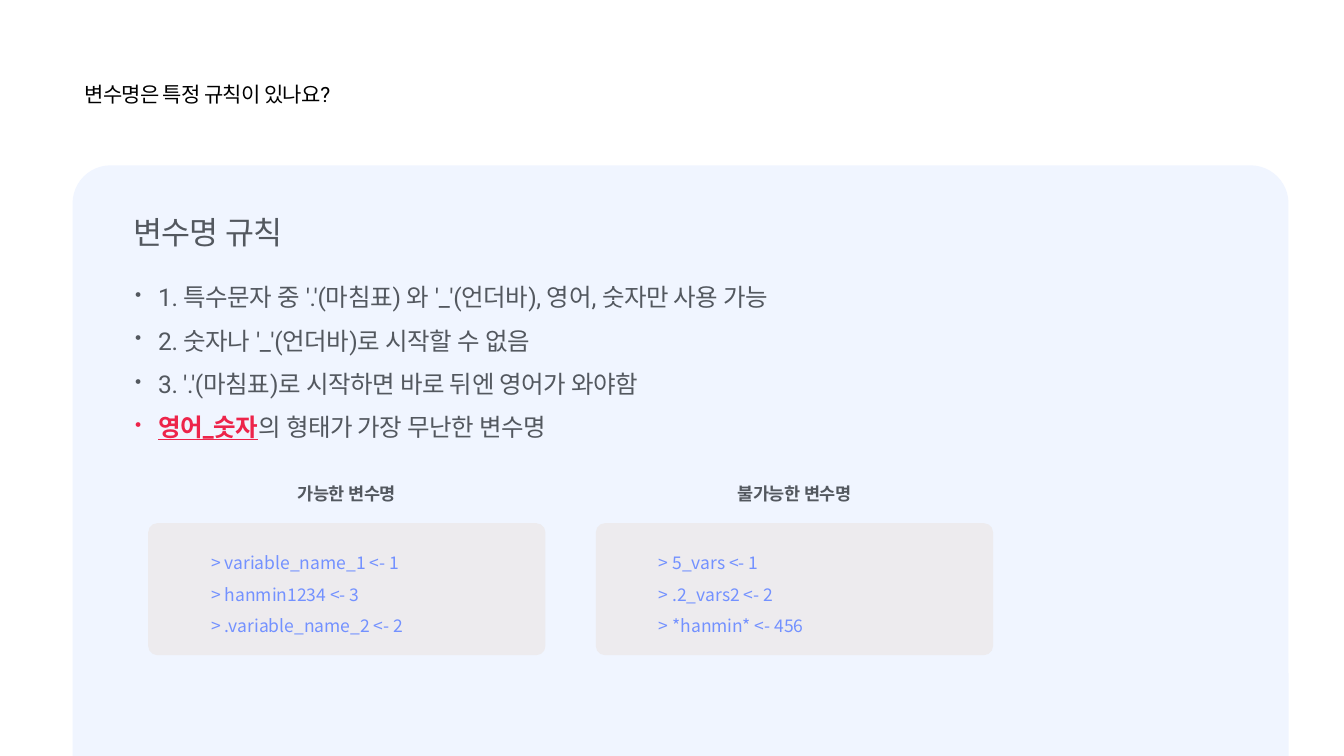
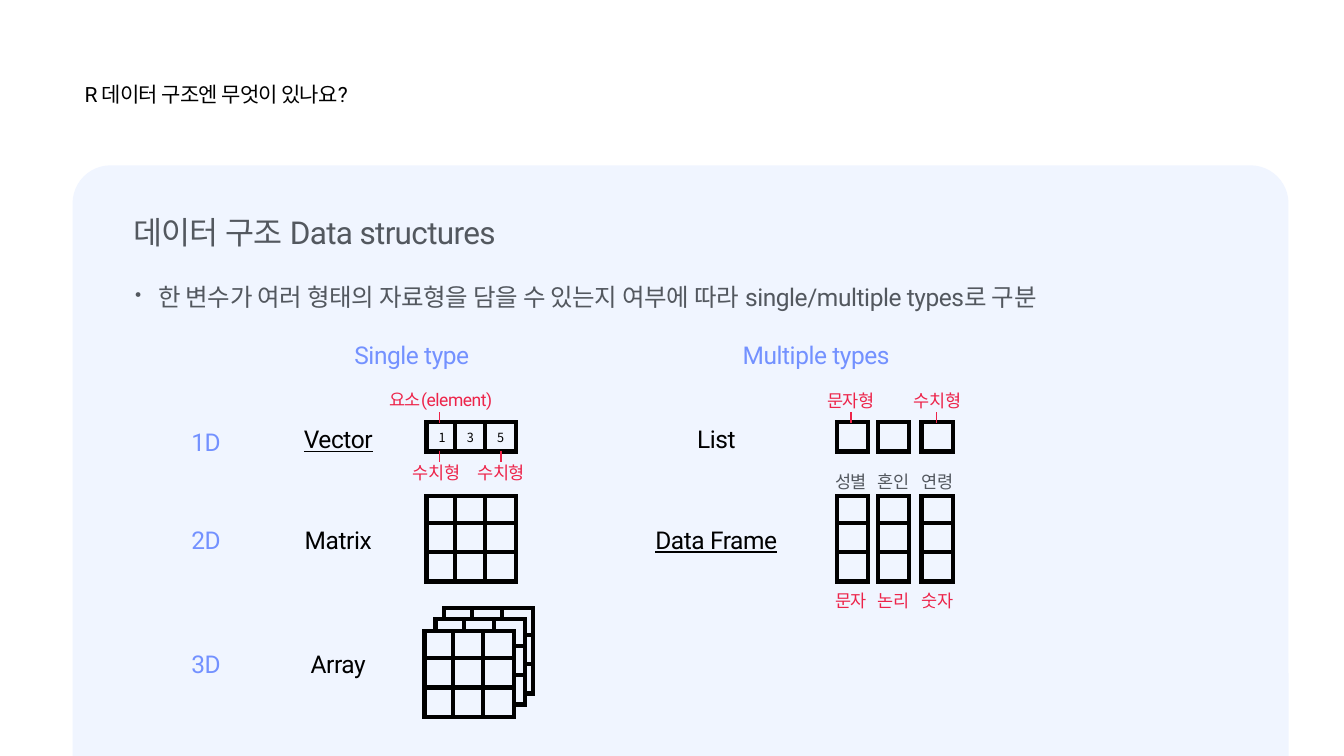
"""Build two lesson slides on R variable names and data structures."""
import dataclasses
import typing

import lxml.etree
import pptx
import pptx.dml.color
import pptx.enum.shapes
import pptx.enum.text
import pptx.oxml.ns
import pptx.util

SCALE = 9144
WHITE, BLACK, PANEL, CODE = "FFFFFF", "000000", "F0F5FF", "EDEBEE"
GRAY, BLUE, RED = "53585F", "7391FF", "ED244A"
SANS, MONO = "Roboto", "Noto Sans CJK KR"
KIND = pptx.enum.shapes.MSO_SHAPE
ALIGN = pptx.enum.text.PP_ALIGN
ANCHOR = pptx.enum.text.MSO_ANCHOR


@dataclasses.dataclass(frozen=True)
class Style:
    size: float
    color: str
    face: str = SANS
    track: int = -30
    bold: bool = False
    line: bool = False
    align: typing.Any = ALIGN.LEFT
    anchor: typing.Any = ANCHOR.TOP
    inset: int = 3
    indent: int = 0
    bullet: bool = False
    after: float = 0
    lead: typing.Optional[float] = None


@dataclasses.dataclass(frozen=True)
class Box:
    x: int
    y: int
    w: int
    h: int


@dataclasses.dataclass(frozen=True)
class Label:
    text: str
    box: Box
    style: Style


@dataclasses.dataclass(frozen=True)
class Grid:
    x: int
    y: int
    cols: tuple[int, ...] = (0, 28, 58)
    rows: tuple[int, ...] = (0, 27, 56)


Part = tuple[str, Style]
TITLE = Style(15, BLACK, track=-60, inset=1)
HEAD = Style(22.5, GRAY, track=-50, inset=1)
BODY = Style(17.5, GRAY, indent=23, bullet=True, after=10)
KEY = dataclasses.replace(BODY, color=RED, bold=True, line=True)
SCRIPT = Style(12.5, BLUE, face=MONO, track=0, anchor=ANCHOR.MIDDLE,
               inset=10, indent=50, lead=22.5)
AXIS = Style(17.5, BLUE, align=ALIGN.CENTER, anchor=ANCHOR.MIDDLE, inset=1)
TERM = dataclasses.replace(AXIS, color=BLACK)
LINK = dataclasses.replace(TERM, line=True)
TAG = Style(12.5, RED, align=ALIGN.CENTER)
FIELD = dataclasses.replace(TAG, color=GRAY)
CAPTION = dataclasses.replace(FIELD, bold=True)
DIGIT = Style(9, BLACK, face=MONO, track=0, align=ALIGN.CENTER,
              anchor=ANCHOR.MIDDLE, inset=0)

RULES: list[list[Part]] = [
    [("1. 특수문자 중 '.'(마침표) 와 '_'(언더바), 영어, 숫자만 사용 가능", BODY)],
    [("2. 숫자나 '_'(언더바)로 시작할 수 없음", BODY)],
    [("3. '.'(마침표)로 시작하면 바로 뒤엔 영어가 와야함", BODY)],
    [("영어_숫자", KEY), ("의 형태가 가장 무난한 변수명", BODY)],
]
SAMPLES = (
    (147, "가능한 변수명",
     ("> variable_name_1 <- 1", "> hanmin1234 <- 3", "> .variable_name_2 <- 2")),
    (591, "불가능한 변수명",
     ("> 5_vars <- 1", "> .2_vars2 <- 2", "> *hanmin* <- 456")),
)
TERMS = [Label(text, Box(x, y, 313, 31), style) for text, x, y, style in (
    ("1D", 48, 423, AXIS), ("2D", 48, 520, AXIS), ("3D", 48, 643, AXIS),
    ("Single type", 252, 336, AXIS), ("Multiple types", 653, 336, AXIS),
    ("Vector", 179, 420, LINK), ("List", 554, 420, TERM),
    ("Matrix", 179, 520, TERM), ("Data Frame", 554, 520, LINK),
    ("Array", 179, 643, TERM))]
TAGS = [Label(text, Box(x, y, 118, 27), style) for text, x, y, style in (
    ("요소(element)", 383, 383, dataclasses.replace(TAG, align=ALIGN.LEFT)),
    ("문자형", 785, 384, TAG), ("수치형", 871, 384, TAG),
    ("수치형", 374, 455, TAG), ("수치형", 438, 455, TAG),
    ("성별", 785, 464, FIELD), ("혼인", 827, 464, FIELD),
    ("연령", 871, 464, FIELD), ("문자", 785, 582, TAG),
    ("논리", 827, 582, TAG), ("숫자", 871, 582, TAG))]
FRAME = (0, 41, 84)
SHEETS = (Grid(423, 492), Grid(440, 603), Grid(432, 614), Grid(421, 626),
          Grid(830, 419, FRAME, (0,)), Grid(830, 492, FRAME))
TICKS = ((436, 409), (436, 447), (497, 447), (844, 409), (929, 409))


def px(count: int) -> int:
    """Turn px into EMU."""
    return pptx.util.Emu(count * SCALE)


def hue(code: str) -> pptx.dml.color.RGBColor:
    """Turn a hex string into a colour."""
    return pptx.dml.color.RGBColor.from_string(code)


def place(box: Box) -> list[int]:
    """Give the EMU bounds of a box."""
    return [px(side) for side in dataclasses.astuple(box)]


def apply(target: typing.Any, values: dict[str, typing.Any]) -> None:
    """Set each named value on the target."""
    for name, value in values.items():
        setattr(target, name, value)


def node(parent: typing.Any, tag: str, **values: str) -> None:
    """Add a drawing element to the parent."""
    lxml.etree.SubElement(parent, pptx.oxml.ns.qn(tag), values)


def add_run(para: typing.Any, text: str, style: Style) -> None:
    """Add one styled run."""
    run = para.add_run()
    run.text = text
    apply(run.font, {"size": pptx.util.Pt(style.size), "name": style.face,
                     "bold": style.bold, "underline": style.line})
    run.font.color.rgb = hue(style.color)
    props = run._r.get_or_add_rPr()
    props.set("spc", str(style.track))
    node(props, "a:ea", typeface=style.face)


def write(shape: typing.Any, lines: list[list[Part]]) -> None:
    """Fill a shape with paragraphs of styled runs."""
    style = lines[0][0][1]
    frame = shape.text_frame
    edges = ("margin_left", "margin_top", "margin_right", "margin_bottom")
    apply(frame, {"word_wrap": True, "vertical_anchor": style.anchor,
                  **dict.fromkeys(edges, px(style.inset))})
    for index, parts in enumerate(lines):
        para = frame.add_paragraph() if index else frame.paragraphs[0]
        props = para._p.get_or_add_pPr()
        props.set("marL", str(px(style.indent)))
        if style.bullet:
            props.set("indent", str(-px(style.indent)))
            node(props, "a:buSzPct", val="75000")
            node(props, "a:buChar", char="•")
        apply(para, {"alignment": style.align,
                     "space_after": pptx.util.Pt(style.after)})
        if style.lead:
            para.line_spacing = pptx.util.Pt(style.lead)
        for text, look in parts:
            add_run(para, text, look)


def add_text(slide: typing.Any, box: Box, lines: list[list[Part]]) -> None:
    """Add a text box."""
    write(slide.shapes.add_textbox(*place(box)), lines)


def add_label(slide: typing.Any, label: Label) -> None:
    """Add a text box with one line."""
    add_text(slide, label.box, [[(label.text, label.style)]])


def add_block(shapes: typing.Any, kind: typing.Any, box: Box, fill: str) -> typing.Any:
    """Add a flat shape without outline."""
    shape = shapes.add_shape(kind, *place(box))
    shape.shadow.inherit = False
    shape.fill.solid()
    shape.fill.fore_color.rgb = hue(fill)
    shape.line.fill.background()
    return shape


def add_round(slide: typing.Any, box: Box, fill: str, curve: float) -> typing.Any:
    """Add a rounded block."""
    shape = add_block(slide.shapes, KIND.ROUNDED_RECTANGLE, box, fill)
    shape.adjustments[0] = curve
    return shape


def add_cell(shapes: typing.Any, x: int, y: int) -> typing.Any:
    """Add one outlined cell."""
    cell = add_block(shapes, KIND.RECTANGLE, Box(x, y, 31, 29), PANEL)
    cell.line.color.rgb = hue(BLACK)
    cell.line.width = pptx.util.Pt(3)
    node(cell.line._get_or_add_ln(), "a:miter", lim="400000")
    return cell


def add_grid(slide: typing.Any, grid: Grid) -> None:
    """Add a group of cells."""
    group = slide.shapes.add_group_shape()
    for row in grid.rows:
        for col in grid.cols:
            add_cell(group.shapes, grid.x + col, grid.y + row)


def add_tick(slide: typing.Any, x: int, y: int) -> None:
    """Add a short upright line."""
    tick = slide.shapes.add_connector(
        pptx.enum.shapes.MSO_CONNECTOR.STRAIGHT, px(x), px(y), px(x), px(y + 11))
    tick.line.color.rgb = hue(RED)
    tick.line.width = pptx.util.Pt(1)
    node(tick._element.spPr, "a:effectLst")


def add_page(deck: typing.Any, title: str, head: str, lines: list[list[Part]]) -> typing.Any:
    """Add a slide with title, panel, heading and bullets."""
    slide = deck.slides.add_slide(deck.slide_layouts[6])
    slide.background.fill.solid()
    slide.background.fill.fore_color.rgb = hue(WHITE)
    add_label(slide, Label(title, Box(83, 80, 600, 27), TITLE))
    add_round(slide, Box(72, 164, 1206, 628), PANEL, 0.06)
    add_label(slide, Label(head, Box(131, 210, 682, 39), HEAD))
    add_text(slide, Box(131, 277, 1000, 35 + 43 * (len(lines) - 1)), lines)
    return slide


def draw_names(deck: typing.Any) -> None:
    """Draw the slide on naming rules."""
    slide = add_page(deck, "변수명은 특정 규칙이 있나요?", "변수명 규칙", RULES)
    for x, name, code in SAMPLES:
        block = add_round(slide, Box(x, 519, 394, 131), CODE, 0.07)
        write(block, [[(line, SCRIPT)] for line in code])
        add_label(slide, Label(name, Box(x, 476, 394, 27), CAPTION))


def draw_types(deck: typing.Any) -> None:
    """Draw the slide on data structures."""
    note = "한 변수가 여러 형태의 자료형을 담을 수 있는지 여부에 따라 single/multiple types로 구분"
    slide = add_page(deck, "R 데이터 구조엔 무엇이 있나요?",
                     "데이터 구조 Data structures", [[(note, BODY)]])
    for col, digit in zip(Grid.cols, "135"):
        write(add_cell(slide.shapes, 423 + col, 419), [[(digit, DIGIT)]])
    for grid in SHEETS:
        add_grid(slide, grid)
    for label in TERMS + TAGS:
        add_label(slide, label)
    for x, y in TICKS:
        add_tick(slide, x, y)


def main() -> None:
    """Build and save the deck."""
    deck = pptx.Presentation()
    apply(deck, {"slide_width": px(1333), "slide_height": px(750)})
    draw_names(deck)
    draw_types(deck)
    deck.save("out.pptx")


if __name__ == "__main__":
    main()
